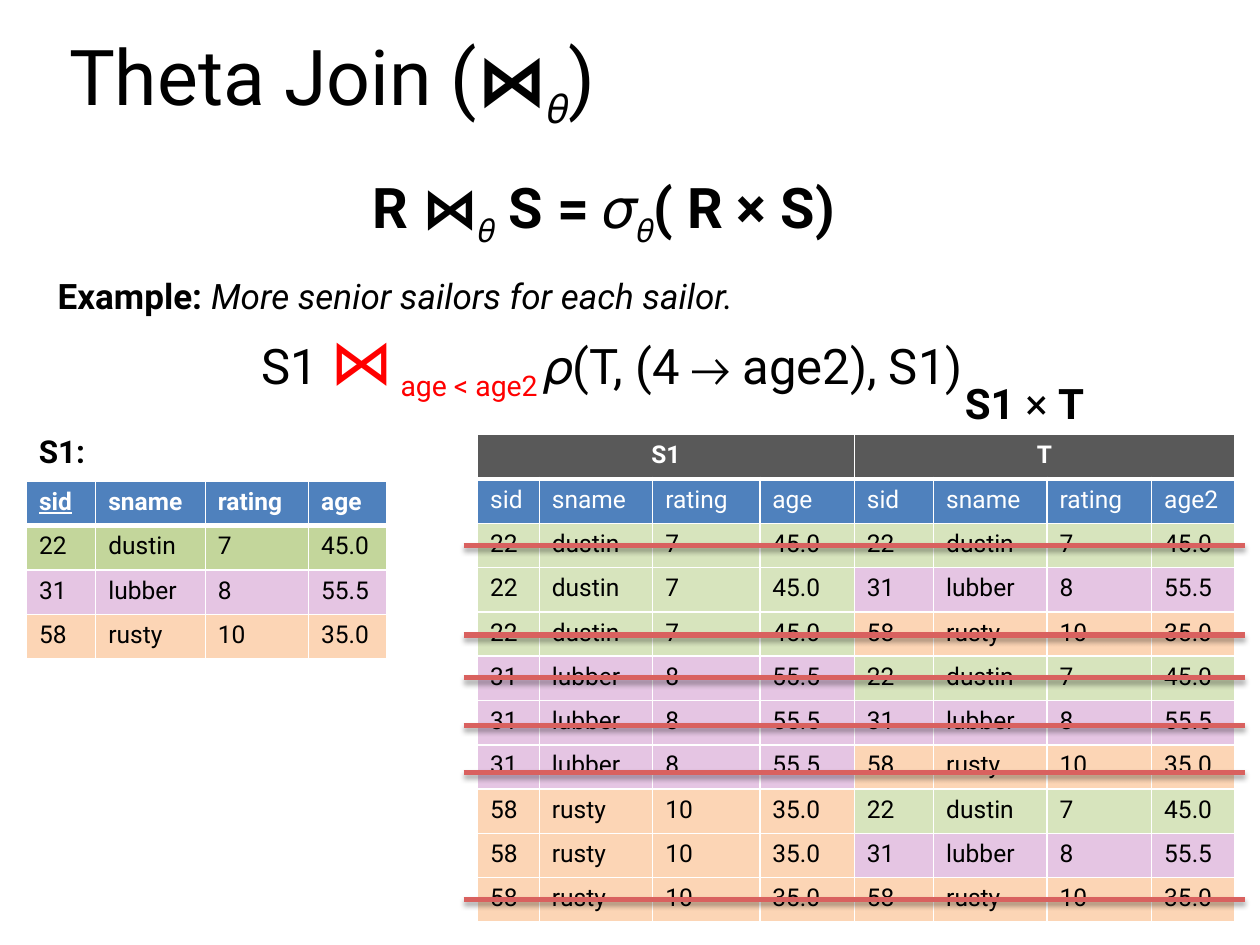
from itertools import product

from lxml import etree
from pptx import Presentation
from pptx.dml.color import RGBColor
from pptx.enum.shapes import MSO_CONNECTOR
from pptx.enum.text import MSO_ANCHOR, PP_ALIGN
from pptx.oxml import parse_xml
from pptx.oxml.ns import nsdecls, qn
from pptx.util import Inches, Pt

BLACK, WHITE, RED, BLUE, GRAY = "000000", "FFFFFF", "FF0000", "4F81BD", "595959"
GREEN, PURPLE, ORANGE = "D7E4BD", "E5C5E3", "FCD5B5"


def color(value):
    return RGBColor.from_string(value)


def fill_cell(cell, text, fill, ink=BLACK, bold=False, bottom=1, top=None):
    """Write one table cell with white borders; border widths are in points."""
    properties = cell._tc.get_or_add_tcPr()
    for side, width in (("L", 1), ("R", 1), ("T", top), ("B", bottom)):
        if width:
            properties.append(parse_xml(
                f'<a:ln{side} {nsdecls("a")} w="{Pt(width)}"><a:solidFill>'
                f'<a:srgbClr val="{WHITE}"/></a:solidFill></a:ln{side}>'))
    cell.fill.solid()
    cell.fill.fore_color.rgb = color(fill)
    paragraph = cell.text_frame.paragraphs[0]
    paragraph.text = text
    font = paragraph.font
    font.name, font.size, font.bold = "Roboto", Pt(14), bold
    font.color.rgb = color(ink)


deck = Presentation()
deck.slide_width, deck.slide_height = Inches(10), Inches(7.5)
page = deck.slides.add_slide(deck.slide_layouts[6])

# Text boxes: position, wrapping, anchor, spans (text, size, style, color)
# Style letters: b bold, i italic, s subscript
texts = [
    ((0.45, 0.01, 8.5, 1.25), True, MSO_ANCHOR.MIDDLE,
     [("Theta Join (", 44, "", BLACK), ("⋈", 40, "b", BLACK),
      ("𝜃", 40, "bs", BLACK), (")", 44, "", BLACK)]),
    ((2.86, 1.32, 4.14, 0.64), False, MSO_ANCHOR.TOP,
     [("R ⋈", 32, "b", BLACK), ("𝜃", 32, "bs", BLACK), (" S = 𝜎", 32, "b", BLACK),
      ("𝜃", 32, "bs", BLACK), ("( R × S)", 32, "b", BLACK)]),
    ((0.36, 2.13, 5.8, 0.44), False, MSO_ANCHOR.TOP,
     [("Example: ", 20, "b", BLACK),
      ("More senior sailors for each sailor.", 20, "i", BLACK)]),
    ((1.98, 2.5, 5.94, 0.71), False, MSO_ANCHOR.TOP,
     [("S1 ", 28, "", BLACK), ("⋈", 36, "", RED), (" age < age2 ", 28, "s", RED),
      ("𝜌(T, (4 → age2), S1)", 28, "", BLACK)]),
    ((7.56, 2.95, 1.19, 0.5), False, MSO_ANCHOR.TOP,
     [("S1 ", 24, "b", BLACK), ("× ", 24, "", BLACK), ("T", 24, "b", BLACK)]),
    ((0.21, 3.38, 0.59, 0.4), False, MSO_ANCHOR.TOP, [("S1:", 18, "b", BLACK)]),
]
for position, wrap, anchor, spans in texts:
    box = page.shapes.add_textbox(*map(Inches, position))
    box.text_frame.word_wrap = wrap
    box.text_frame.vertical_anchor = anchor
    paragraph = box.text_frame.paragraphs[0]
    paragraph.font.name = "Roboto"
    for text, size, style, ink in spans:
        span = paragraph.add_run()
        span.text = text
        span.font.name, span.font.size = "Roboto", Pt(size)
        span.font.bold, span.font.italic = "b" in style, "i" in style
        span.font.color.rgb = color(ink)
        if "s" in style:
            span._r.get_or_add_rPr().set("baseline", "-25000")

# Sailors table S1
fields = ["sid", "sname", "rating", "age"]
sailors = [
    (["22", "dustin", "7", "45.0"], GREEN),
    (["31", "lubber", "8", "55.5"], PURPLE),
    (["58", "rusty", "10", "35.0"], ORANGE),
]
sailor_table = page.shapes.add_table(
    4, 4, Inches(0.21), Inches(3.82), Inches(2.85), Inches(1.41)).table
sailor_table.horz_banding = False
for column, width in zip(sailor_table.columns, (0.55, 0.87, 0.82, 0.62)):
    column.width = Inches(width)
for c, field in enumerate(fields):
    fill_cell(sailor_table.cell(0, c), field, BLUE, WHITE, True, bottom=3, top=1)
sailor_table.cell(0, 0).text_frame.paragraphs[0].font.underline = True
for r, (values, fill) in enumerate(sailors, 1):
    for c, value in enumerate(values):
        fill_cell(sailor_table.cell(r, c), value, "C3D69B" if fill == GREEN else fill)

# Cross product S1 × T
product_table = page.shapes.add_table(
    11, 8, Inches(3.79), Inches(3.45), Inches(6.02), Inches(3.87)).table
product_table.horz_banding = False
widths = (0.49, 0.9, 0.85, 0.75, 0.63, 0.9, 0.83, 0.66)
for column, width in zip(product_table.columns, widths):
    column.width = Inches(width)
for c, name in enumerate(["S1", "", "", "", "T", "", "", ""]):
    cell = product_table.cell(0, c)
    fill_cell(cell, name, GRAY, WHITE, True, bottom=3, top=1)
    cell.text_frame.paragraphs[0].alignment = PP_ALIGN.CENTER
for first in (0, 4):
    product_table.cell(0, first).merge(product_table.cell(0, first + 3))
for c, field in enumerate(fields + fields[:3] + ["age2"]):
    fill_cell(product_table.cell(1, c), field, BLUE, WHITE)
for r, pair in enumerate(product(sailors, repeat=2), 2):
    for half, (values, fill) in enumerate(pair):
        for c, value in enumerate(values):
            fill_cell(product_table.cell(r, half * 4 + c), value, fill)

# Strike out the pairs that fail the condition
for y in (4.33, 5.04, 5.38, 5.76, 6.13, 7.14):
    strike = page.shapes.add_connector(
        MSO_CONNECTOR.STRAIGHT, Inches(3.68), Inches(y), Inches(9.88), Inches(y))
    strike.line.color.rgb = color("D9615F")
    strike.line.width = Pt(3)
    effects = etree.SubElement(strike._element.spPr, qn("a:effectLst"))
    shadow = etree.SubElement(effects, qn("a:outerShdw"), blurRad=str(Pt(3.1)),
                              dist=str(Pt(1.8)), dir="5400000", rotWithShape="0")
    shade = etree.SubElement(shadow, qn("a:srgbClr"), val=BLACK)
    etree.SubElement(shade, qn("a:alpha"), val="35000")

deck.save("out.pptx")
